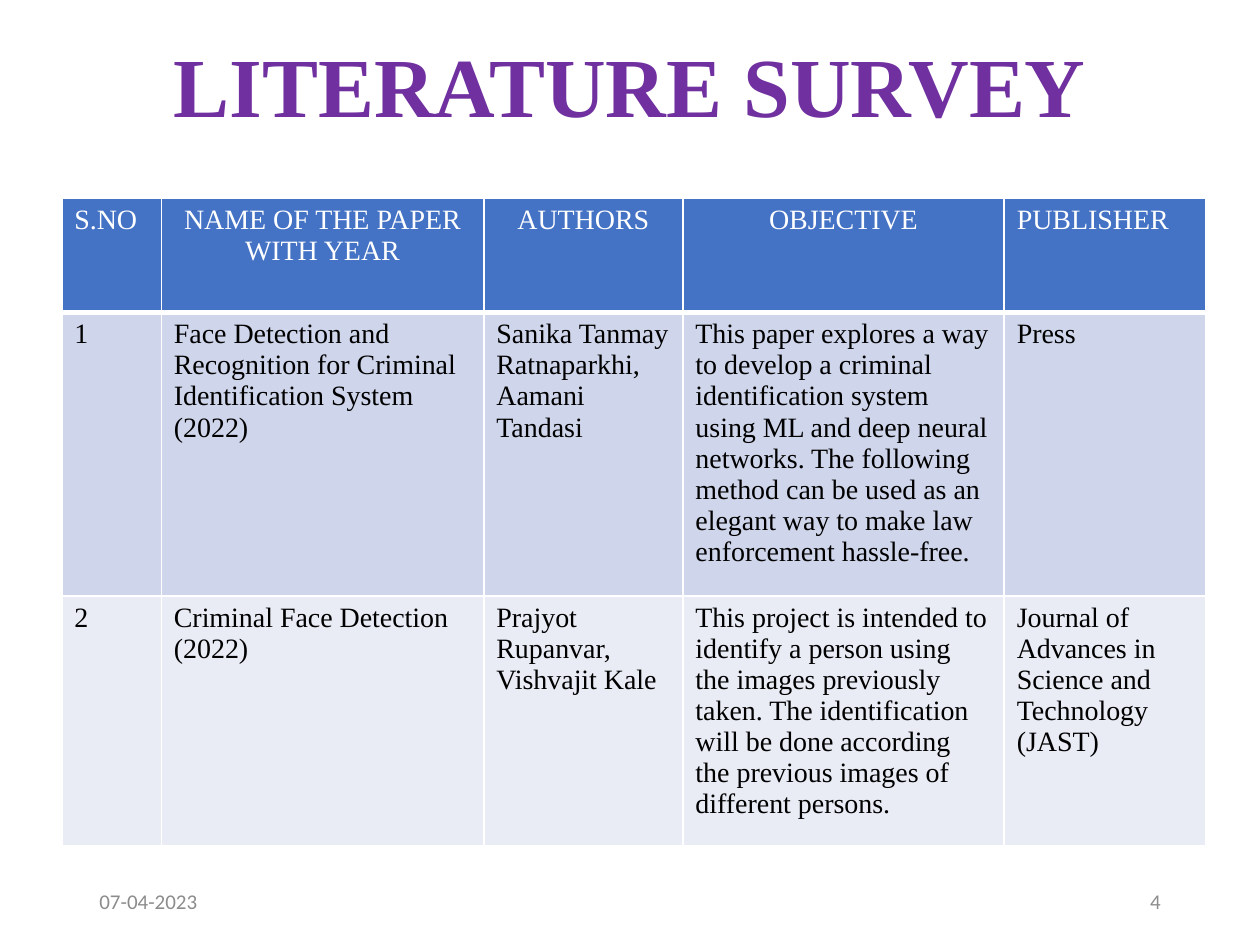
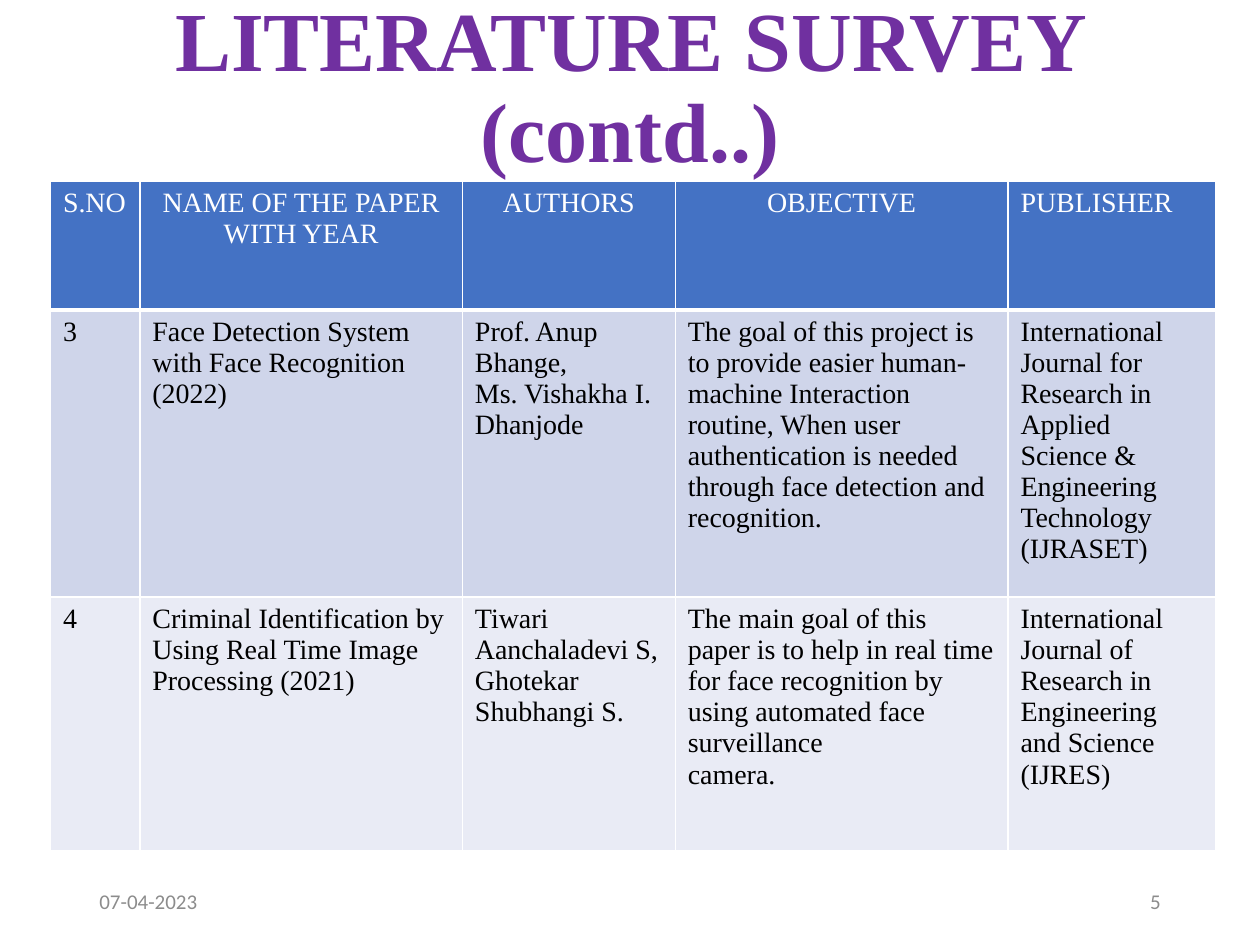
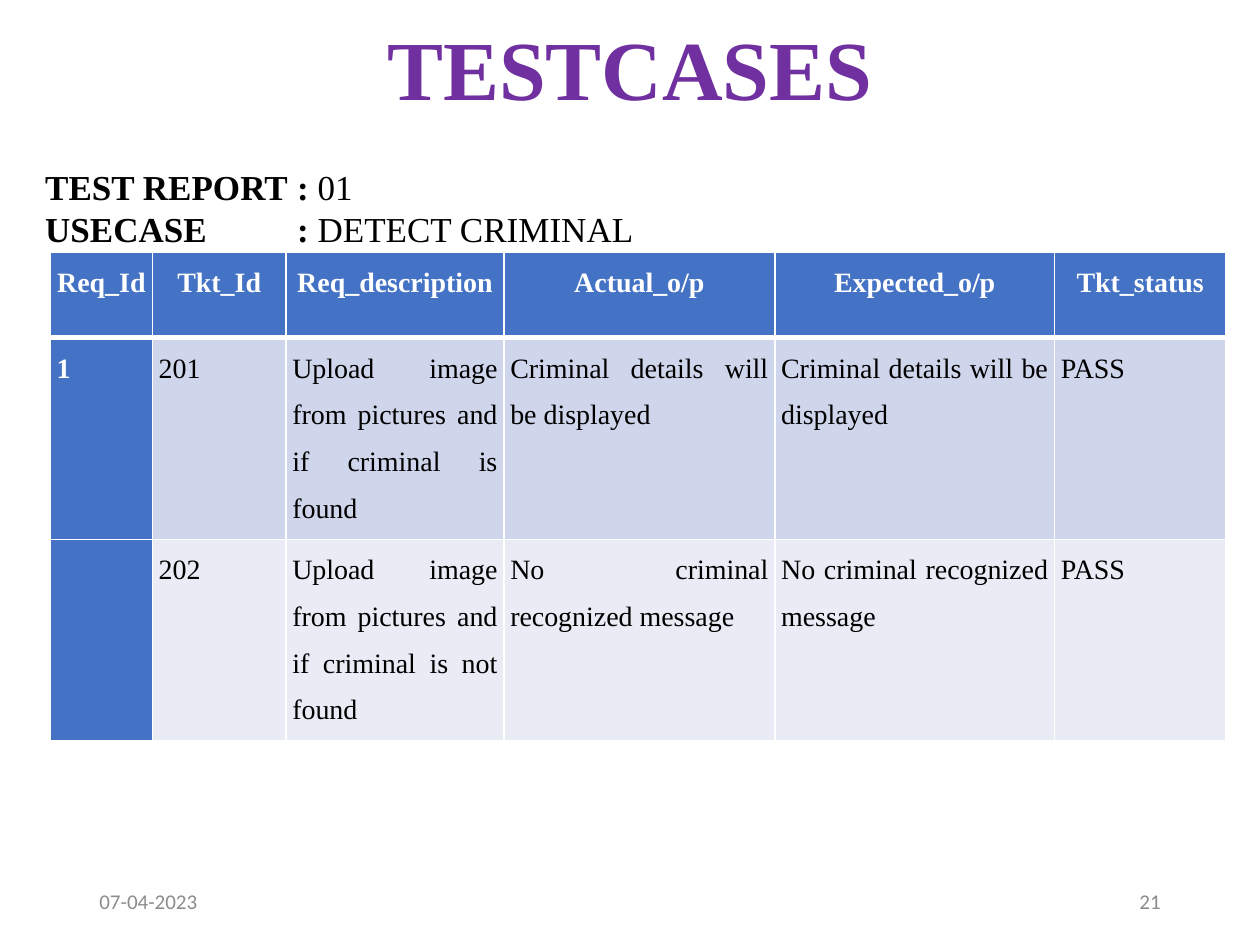
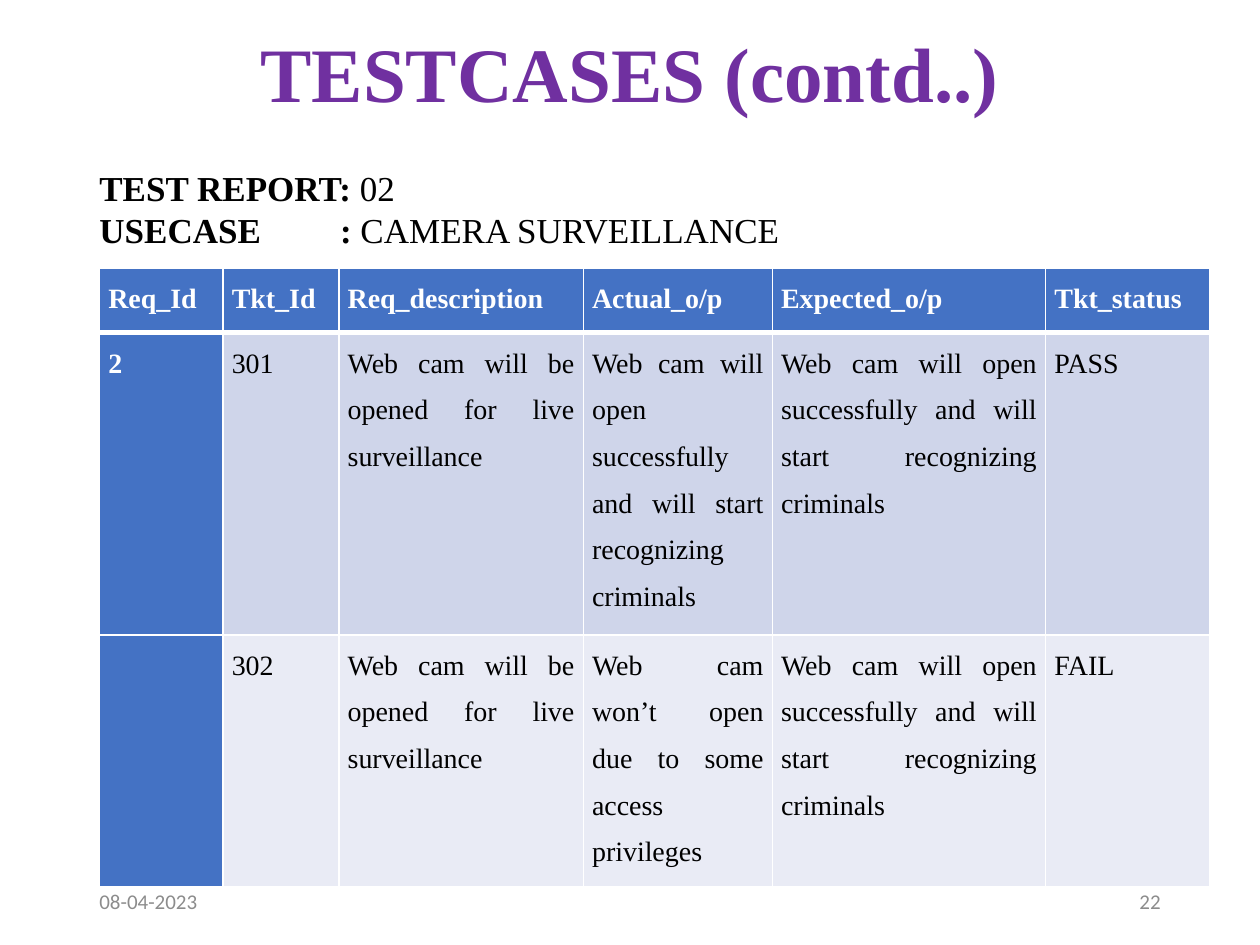
from lxml import etree
from pptx import Presentation
from pptx.dml.color import RGBColor
from pptx.enum.text import MSO_ANCHOR, PP_ALIGN
from pptx.oxml.ns import qn
from pptx.util import Inches, Pt

LEFT, CENTER, RIGHT, JUSTIFY = PP_ALIGN.LEFT, PP_ALIGN.CENTER, PP_ALIGN.RIGHT, PP_ALIGN.JUSTIFY
TOP, MIDDLE = MSO_ANCHOR.TOP, MSO_ANCHOR.MIDDLE

SERIF, SANS = "Times New Roman", "Calibri"
PURPLE, GRAY, BLACK, WHITE = "7030A0", "8C8C8C", "000000", "FFFFFF"
HEADER_BLUE = "4472C4"
BAND_FILLS = ["CFD5EA", "E9EBF5"]

SURVEY_HEADER = ["S.NO", "NAME OF THE PAPER WITH YEAR", "AUTHORS", "OBJECTIVE", "PUBLISHER"]
SURVEY_HEADER_ALIGNS = [LEFT, CENTER, CENTER, CENTER, LEFT]
TEST_HEADER = ["Req_Id", "Tkt_Id", "Req_description", "Actual_o/p", "Expected_o/p", "Tkt_status"]
CAMERA_OPENS = "Web cam will open successfully and will start recognizing criminals"
CAMERA_REQUEST = "Web cam will be opened for live surveillance"


def color(value):
    return RGBColor.from_string(value)


def add_span(para, text, size, ink=BLACK, font=SERIF, bold=False):
    span = para.add_run()
    span.text = text
    span.font.name = font
    span.font.size = Pt(size)
    span.font.bold = bold
    span.font.color.rgb = color(ink)


def add_text_box(page, box, anchor=MIDDLE):
    """Add a wrapping text box and return its text frame."""
    frame = page.shapes.add_textbox(*map(Inches, box)).text_frame
    frame.word_wrap = True
    frame.vertical_anchor = anchor
    return frame


def add_title(page, text, box, size=48):
    para = add_text_box(page, box).paragraphs[0]
    para.alignment = CENTER
    para.line_spacing = 0.9
    add_span(para, text, size, PURPLE, bold=True)


def add_footer(page, date, number):
    for text, left, align in [(date, 0.69, LEFT), (number, 7.06, RIGHT)]:
        para = add_text_box(page, (left, 6.95, 2.25, 0.4)).paragraphs[0]
        para.alignment = align
        add_span(para, text, 12, GRAY, SANS)


def add_report_heading(page, box, lines, tab, inset=0.05):
    """Bold labels and plain values; tabs in the labels line up the colons."""
    frame = add_text_box(page, box, TOP)
    frame.margin_top = Inches(inset)
    for index, (label, value) in enumerate(lines):
        para = frame.add_paragraph() if index else frame.paragraphs[0]
        para.alignment = LEFT
        stops = etree.SubElement(para._p.get_or_add_pPr(), qn("a:tabLst"))
        etree.SubElement(stops, qn("a:tab"), pos=str(Inches(tab)), algn="l")
        add_span(para, label, 20, bold=True)
        add_span(para, value, 20)


def set_borders(cell, top=1, bottom=1):
    """White cell borders, widths in points."""
    properties = cell._tc.get_or_add_tcPr()
    for side, width in [("L", 1), ("R", 1), ("T", top), ("B", bottom)]:
        line = etree.SubElement(properties, qn(f"a:ln{side}"), w=str(Pt(width)))
        fill = etree.SubElement(line, qn("a:solidFill"))
        etree.SubElement(fill, qn("a:srgbClr"), val=WHITE)


def fill_cell(cell, text, fill, ink, bold, align, spacing):
    cell.fill.solid()
    cell.fill.fore_color.rgb = color(fill)
    if not text:
        return
    for index, line in enumerate(text.split("\n")):
        para = cell.text_frame.add_paragraph() if index else cell.text_frame.paragraphs[0]
        para.alignment = align
        if spacing:
            para.line_spacing = spacing
            para.space_after = Pt(6)
        add_span(para, line, 16, ink, bold=bold)


def add_grid(page, origin, widths, heights, rows, header_aligns, body_align=LEFT,
             bold=False, key_column=False, margins=(0.1, 0.05), spacing=None):
    """Table with a blue header, banded body rows and an optional blue key column."""
    box = (*origin, sum(widths), sum(heights))
    table = page.shapes.add_table(len(rows), len(widths), *map(Inches, box)).table
    table.first_col = key_column
    for column, width in zip(table.columns, widths):
        column.width = Inches(width)
    for row, height in zip(table.rows, heights):
        row.height = Inches(height)
    for r, texts in enumerate(rows):
        for c, text in enumerate(texts):
            cell = table.cell(r, c)
            cell.margin_left = cell.margin_right = Inches(margins[0])
            cell.margin_top = cell.margin_bottom = Inches(margins[1])
            set_borders(cell, top=3 if r == 1 else 1, bottom=3 if r == 0 else 1)
            strong = r == 0 or (key_column and c == 0)
            fill_cell(cell, text,
                      HEADER_BLUE if strong else BAND_FILLS[(r - 1) % 2],
                      WHITE if strong else BLACK,
                      bold and strong,
                      header_aligns[c] if r == 0 else body_align,
                      spacing)


def add_survey_page(deck, title, title_box, number, origin, widths, heights, papers):
    page = deck.slides.add_slide(deck.slide_layouts[6])
    add_title(page, title, title_box)
    add_footer(page, "07-04-2023", number)
    add_grid(page, origin, widths, heights, [SURVEY_HEADER, *papers], SURVEY_HEADER_ALIGNS)


def add_test_page(deck, title, title_box, title_size, date, number, origin, widths,
                  heights, cases, header_align, side_margin):
    page = deck.slides.add_slide(deck.slide_layouts[6])
    add_title(page, title, title_box, title_size)
    add_footer(page, date, number)
    add_grid(page, origin, widths, heights, [TEST_HEADER, *cases],
             [header_align] * len(TEST_HEADER), JUSTIFY, bold=True, key_column=True,
             margins=(side_margin, 0), spacing=1.5)
    return page


def main():
    deck = Presentation()
    deck.slide_width, deck.slide_height = Inches(10), Inches(7.5)

    # Literature survey
    add_survey_page(
        deck, "LITERATURE SURVEY", (0.69, 0.53, 8.62, 0.38), "4",
        (0.49, 1.57), [0.79, 2.56, 1.58, 2.55, 1.6], [0.91, 2.25, 1.98],
        [["1", "Face Detection and Recognition for Criminal Identification System (2022)",
          "Sanika Tanmay Ratnaparkhi,\nAamani Tandasi",
          "This paper explores a way to develop a criminal identification system using ML "
          "and deep neural networks. The following method can be used as an elegant way to "
          "make law enforcement hassle-free.",
          "Press"],
         ["2", "Criminal Face Detection (2022)", "Prajyot Rupanvar, Vishvajit Kale",
          "This project is intended to identify a person using the images previously taken. "
          "The identification will be done according the previous images of different persons.",
          "Journal of Advances in Science and Technology (JAST)"]])

    # Literature survey, continued
    add_survey_page(
        deck, "LITERATURE SURVEY (contd..)", (0.69, 0.45, 8.62, 0.53), "5",
        (0.4, 1.44), [0.71, 2.56, 1.69, 2.64, 1.65], [1.02, 2.28, 2.01],
        [["3", "Face Detection System with Face Recognition\n(2022)",
          "Prof. Anup Bhange,\nMs. Vishakha I. Dhanjode",
          "The goal of this project is to provide easier human-machine Interaction routine, "
          "When user authentication is needed through face detection and recognition.",
          "International Journal for Research in Applied Science & Engineering Technology "
          "(IJRASET)"],
         ["4", "Criminal Identification by Using Real Time Image Processing (2021)",
          "Tiwari Aanchaladevi S,\nGhotekar Shubhangi S.",
          "The main goal of this paper is to help in real time for face recognition by using "
          "automated face surveillance\ncamera.",
          "International Journal of Research in Engineering and Science (IJRES)"]])

    # Test cases: criminal detection
    page = add_test_page(
        deck, "TESTCASES", (0.69, 0.18, 8.62, 0.81), 48, "07-04-2023", "21",
        (0.4, 2), [0.81, 1.06, 1.73, 2.15, 2.22, 1.36], [0.68, 1.6, 1.6],
        [["1", "201", "Upload image from pictures and if criminal is found",
          *["Criminal details will be displayed"] * 2, "PASS"],
         ["", "202", "Upload image from pictures and if criminal is not found",
          *["No criminal recognized message"] * 2, "PASS"]],
        CENTER, 0.05)
    add_report_heading(page, (0.26, 1.22, 5.49, 1.08),
                       [("TEST REPORT\t: ", "01"), ("USECASE\t: ", "DETECT CRIMINAL")],
                       tab=2, inset=0.09)

    # Test cases: camera surveillance
    page = add_test_page(
        deck, "TESTCASES (contd..)", (0.69, 0.15, 8.62, 0.93), 44, "08-04-2023", "22",
        (0.79, 2.13), [0.98, 0.92, 1.94, 1.5, 2.17, 1.3], [0.51, 1.98, 1.64],
        [["2", "301", CAMERA_REQUEST, CAMERA_OPENS, CAMERA_OPENS, "PASS"],
         ["", "302", CAMERA_REQUEST, "Web cam won’t open due to some access privileges",
          CAMERA_OPENS, "FAIL"]],
        JUSTIFY, 0.07)
    add_report_heading(page, (0.69, 1.27, 6.71, 0.77),
                       [("TEST REPORT: ", "02"), ("USECASE\t: ", "CAMERA SURVEILLANCE")],
                       tab=1.91)

    deck.save("out.pptx")


if __name__ == "__main__":
    main()
